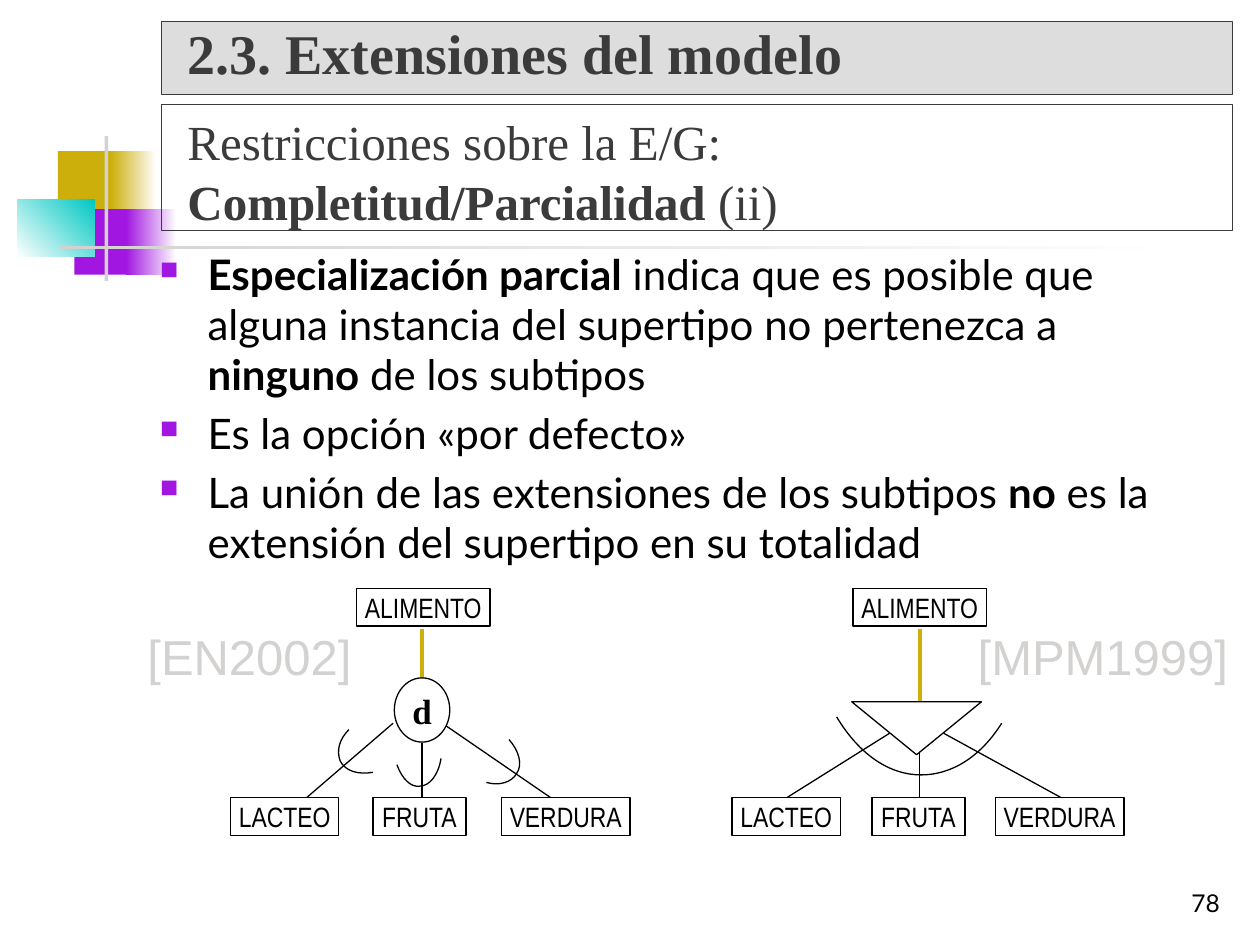
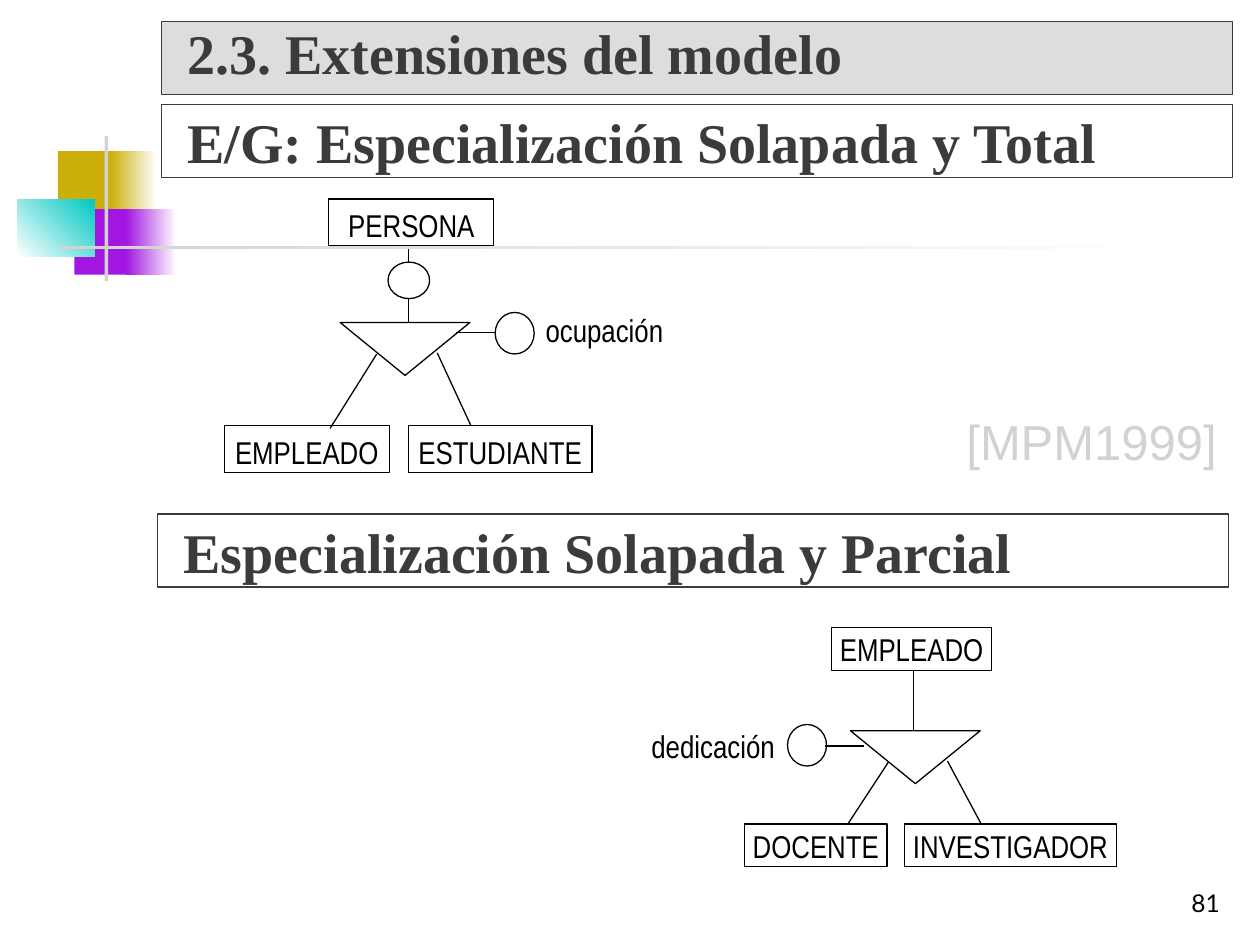
import copy
from dataclasses import dataclass
from typing import NamedTuple, Optional

import pptx
import pptx.dml.color
import pptx.enum.shapes
import pptx.enum.text
import pptx.oxml
import pptx.oxml.ns
import pptx.util
from pptx.util import Inches

BLACK, WHITE = "000000", "FFFFFF"
GOLD, PURPLE, TEAL = "CCAF0A", "A116E0", "00C8C3"
SILVER, BAND_GREY, TITLE_GREY = "D4D2D0", "DDDDDD", "3B3B3B"
SERIF, NARROW, SANS, BODY = "Times New Roman", "Arial Narrow", "Arial", "Lato"
THIN, THICK = 0.75, 2.25

SHAPE = pptx.enum.shapes.MSO_SHAPE
ALIGN = pptx.enum.text.PP_ALIGN
ANCHOR = pptx.enum.text.MSO_ANCHOR
SECTION = "2.3. Extensiones del modelo"


class Place(NamedTuple):
    left: float
    top: float
    width: float
    height: float


class Point(NamedTuple):
    x: float
    y: float


class Span(NamedTuple):
    text: str
    bold: bool = False
    size: Optional[float] = None


@dataclass
class Style:
    font: str
    size: float
    color: str = BLACK
    align: ALIGN = ALIGN.LEFT


@dataclass
class Decoration:
    place: Place
    start: str
    end: Optional[str] = None
    angle: float = 0


@dataclass
class Entity:
    name: str
    place: Place
    size: float = 16
    top_inset: float = 0.01
    fill: Optional[str] = WHITE


@dataclass
class Link:
    start: Point
    end: Point
    color: str = BLACK
    weight: float = THIN


DECORATIONS = [
    Decoration(Place(0.46, 1.2, 0.48, 0.52), GOLD),
    Decoration(Place(0.88, 1.2, 0.36, 0.52), GOLD, WHITE),
    Decoration(Place(0.59, 1.66, 0.46, 0.52), PURPLE),
    Decoration(Place(1, 1.66, 0.4, 0.52), PURPLE, WHITE),
    Decoration(Place(0.14, 1.58, 0.61, 0.46), WHITE, TEAL, 45),
    Decoration(Place(0.83, 1.08, 0.03, 1.15), SILVER),
    Decoration(Place(0.48, 1.95, 9, 0.03), SILVER, WHITE),
]


def rgb(color: str):
    return pptx.dml.color.RGBColor.from_string(color)


def inches(values):
    return [Inches(value) for value in values]


def set_outline(shape, color: Optional[str], weight: float = THIN):
    if color is None:
        shape.line.fill.background()
    else:
        shape.line.color.rgb = rgb(color)
        shape.line.width = pptx.util.Pt(weight)


def add_outline_shape(slide, kind, place: Place, line: Optional[str] = BLACK,
                      fill: Optional[str] = None):
    shape = slide.shapes.add_shape(kind, *inches(place))
    shape.shadow.inherit = False
    set_outline(shape, line)
    if fill is None:
        shape.fill.background()
    else:
        shape.fill.solid()
        shape.fill.fore_color.rgb = rgb(fill)
    return shape


def set_insets(box, left: float, top: float, right: float, bottom: float):
    frame = box.text_frame
    frame.margin_left, frame.margin_top = Inches(left), Inches(top)
    frame.margin_right, frame.margin_bottom = Inches(right), Inches(bottom)


def write_spans(para, spans: list[Span], style: Style):
    para.alignment = style.align
    for span in spans:
        run = para.add_run()
        run.text = span.text
        run.font.name = style.font
        run.font.size = pptx.util.Pt(span.size or style.size)
        run.font.bold = span.bold
        run.font.color.rgb = rgb(style.color)


def indent(para, margin: float, first_line: float):
    properties = para._p.get_or_add_pPr()
    properties.set("marL", str(Inches(margin)))
    properties.set("indent", str(Inches(first_line)))
    return properties


def add_bullet(para):
    """Give the paragraph a purple square, which is the letter n in Wingdings."""
    properties = indent(para, 0.38, -0.38)
    namespace = pptx.oxml.ns.nsdecls("a")
    for markup in (f'<a:buClr {namespace}><a:srgbClr val="{PURPLE}"/></a:buClr>',
                   f'<a:buSzPct {namespace} val="60000"/>',
                   f'<a:buFont {namespace} typeface="Wingdings" charset="2"/>',
                   f'<a:buChar {namespace} char="n"/>'):
        properties.append(pptx.oxml.parse_xml(markup))


def add_text(slide, place: Place, text: str, style: Style):
    box = slide.shapes.add_textbox(*inches(place))
    box.text_frame.word_wrap = False
    write_spans(box.text_frame.paragraphs[0], [Span(text)], style)
    return box


def add_reference(slide, text: str, place: Place):
    box = add_text(slide, place, text, Style(SANS, 28, SILVER))
    set_insets(box, 0, 0.05, 0, 0.01)


def add_attribute(slide, name: str, label: Place, circle: Point):
    box = add_text(slide, label, name, Style(NARROW, 18))
    set_insets(box, 0, 0.05, 0, 0.01)
    add_outline_shape(slide, SHAPE.OVAL, Place(*circle, 0.31, 0.33))


def add_heading(slide, place: Place, spans: list[Span], fill: Optional[str] = None):
    box = add_outline_shape(slide, SHAPE.RECTANGLE, place, TITLE_GREY, fill)
    box.text_frame.word_wrap = True
    box.text_frame.vertical_anchor = ANCHOR.MIDDLE
    para = box.text_frame.paragraphs[0]
    indent(para, 0.11, 0)
    write_spans(para, spans, Style(SERIF, 32, TITLE_GREY))
    return para


def add_entity(slide, entity: Entity):
    box = add_outline_shape(slide, SHAPE.RECTANGLE, entity.place, fill=entity.fill)
    set_insets(box, 0.06, entity.top_inset, 0.06, 0.01)
    box.text_frame.word_wrap = False
    box.text_frame.vertical_anchor = ANCHOR.MIDDLE
    write_spans(box.text_frame.paragraphs[0], [Span(entity.name)],
                Style(NARROW, entity.size, align=ALIGN.CENTER))


def add_link(slide, link: Link):
    line = slide.shapes.add_connector(
        pptx.enum.shapes.MSO_CONNECTOR.STRAIGHT, *inches(link.start + link.end))
    set_outline(line, link.color, link.weight)
    line._element.spPr.append(
        pptx.oxml.parse_xml(f'<a:effectLst {pptx.oxml.ns.nsdecls("a")}/>'))


def add_triangle(slide, left: float, top: float):
    """Draw the hierarchy symbol, a triangle pointing down."""
    triangle = add_outline_shape(slide, SHAPE.ISOSCELES_TRIANGLE, Place(left, top, 1.03, 0.42))
    triangle._element.spPr.get_or_add_xfrm().set("flipV", "1")


def add_arc(slide, points: list[tuple]):
    """Draw two joined cubic curves as an open edge; the last point is the sector's centre."""
    start, *others = [tuple(inches(point)) for point in points]
    builder = slide.shapes.build_freeform(*start, scale=1.0)
    builder.add_line_segments(others, close=True)
    arc = builder.convert_to_shape()
    arc.shadow.inherit = False
    arc.fill.background()
    set_outline(arc, BLACK)

    sector = arc._element.xpath(".//a:path")[0]
    corners = list(sector)[1:7]
    for curve, *rest in (corners[:3], corners[3:]):
        curve.tag = pptx.oxml.ns.qn("a:cubicBezTo")
        for corner in rest:
            curve.append(corner[0])
            sector.remove(corner)
    edge = copy.deepcopy(sector)
    for side in list(edge)[3:]:
        edge.remove(side)
    edge.set("fill", "none")
    sector.set("stroke", "0")
    sector.addprevious(edge)


def add_base_slide(deck, number: int):
    slide = deck.slides.add_slide(deck.slide_layouts[6])
    for item in DECORATIONS:
        shape = add_outline_shape(slide, SHAPE.RECTANGLE, item.place, None, item.start)
        if item.end:
            shape.fill.gradient()
            shape.fill.gradient_angle = item.angle
            for stop, color in zip(shape.fill.gradient_stops, (item.start, item.end)):
                stop.color.rgb = rgb(color)
    page = add_text(slide, Place(7.7, 6.83, 2.08, 0.5), str(number),
                    Style(BODY, 14, align=ALIGN.RIGHT))
    page.text_frame.word_wrap = True
    page.text_frame.vertical_anchor = ANCHOR.BOTTOM
    title = add_heading(slide, Place(1.28, 0.17, 8.5, 0.58), [Span(SECTION, True)], BAND_GREY)
    title.line_spacing = 0.8
    return slide


def build_partial_slide(deck):
    slide = add_base_slide(deck, 78)
    add_heading(slide, Place(1.28, 0.83, 8.5, 1), [
        Span("Restricciones sobre la E/G:", size=28), Span(" ", True),
        Span("Completitud/Parcialidad ", True, 28), Span("(ii)", size=28)])

    bullets = [
        [Span("Especialización parcial", True),
         Span(" indica que es posible que alguna instancia del supertipo no pertenezca a "),
         Span("ninguno", True), Span(" de los subtipos")],
        [Span("Es la opción «por defecto»")],
        [Span("La unión de las extensiones de los subtipos "), Span("no", True),
         Span(" es la extensión del supertipo en su totalidad")],
    ]
    body = slide.shapes.add_textbox(*inches(Place(1.17, 1.92, 8.56, 2.67))).text_frame
    body.word_wrap = True
    for index, spans in enumerate(bullets):
        para = body.add_paragraph() if index else body.paragraphs[0]
        add_bullet(para)
        para.space_before = pptx.util.Pt(4.8 if index else 0)
        write_spans(para, spans, Style(BODY, 24))

    for link in (
            Link(Point(3.35, 4.99), Point(3.35, 5.49), GOLD, THICK),
            Link(Point(3.12, 5.74), Point(2.33, 6.42)),
            Link(Point(3.35, 5.9), Point(3.35, 6.4)),
            Link(Point(3.51, 5.74), Point(4.5, 6.42)),
            Link(Point(7.3, 4.99), Point(7.3, 5.57), GOLD, THICK),
            Link(Point(7.06, 5.82), Point(6.15, 6.39)),
            Link(Point(7.3, 5.97), Point(7.3, 6.39)),
            Link(Point(7.49, 5.82), Point(8.53, 6.39))):
        add_link(slide, link)

    disjoint = add_outline_shape(slide, SHAPE.OVAL, Place(3.13, 5.38, 0.44, 0.51), fill=WHITE)
    set_insets(disjoint, 0, 0.01, 0, 0.01)
    disjoint.text_frame.vertical_anchor = ANCHOR.MIDDLE
    write_spans(disjoint.text_frame.paragraphs[0], [Span("d", True)],
                Style(SERIF, 20, align=ALIGN.CENTER))
    add_triangle(slide, 6.76, 5.57)

    for arc in (
            [(2.77, 5.79), (2.69, 5.87), (2.67, 5.96), (2.7, 6.04),
             (2.74, 6.12), (2.84, 6.15), (2.96, 6.13), (2.98, 5.9)],
            [(3.15, 6.07), (3.19, 6.18), (3.26, 6.25), (3.33, 6.24),
             (3.41, 6.24), (3.48, 6.15), (3.5, 6.02), (3.31, 5.91)],
            [(3.86, 6.21), (3.96, 6.24), (4.06, 6.21), (4.1, 6.14),
             (4.15, 6.07), (4.12, 5.96), (4.04, 5.87), (3.84, 5.98)],
            [(7.95, 5.74), (7.78, 6.01), (7.55, 6.15), (7.31, 6.15),
             (7.06, 6.15), (6.82, 5.99), (6.64, 5.69), (7.31, 4.74)]):
        add_arc(slide, arc)

    add_reference(slide, "[EN2002]", Place(1.17, 4.92, 1.62, 0.53))
    add_reference(slide, "[MPM1999]", Place(7.76, 4.92, 1.99, 0.53))
    subtypes = (("LACTEO", 0.86), ("FRUTA", 0.74), ("VERDURA", 1.02))
    for root_left, root_fill, lefts in ((2.83, None, (1.83, 2.96, 3.98)),
                                        (6.77, WHITE, (5.81, 6.92, 7.9))):
        add_entity(slide, Entity("ALIMENTO", Place(root_left, 4.67, 1.06, 0.3), fill=root_fill))
        for left, (name, width) in zip(lefts, subtypes):
            add_entity(slide, Entity(name, Place(left, 6.33, width, 0.3)))


def build_overlap_slide(deck):
    slide = add_base_slide(deck, 81)
    add_heading(slide, Place(1.28, 0.83, 8.5, 0.58),
                [Span("E/G: Especialización Solapada y Total", True)])
    add_heading(slide, Place(1.25, 4.08, 8.5, 0.58),
                [Span("Especialización Solapada y Parcial", True)])
    add_reference(slide, "[MPM1999]", Place(7.67, 3.22, 1.99, 0.53))

    for link in (
            Link(Point(3.24, 1.98), Point(3.24, 2.56)),
            Link(Point(2.99, 2.81), Point(2.62, 3.4)),
            Link(Point(3.47, 2.8), Point(3.78, 3.47)),
            Link(Point(3.62, 2.64), Point(3.93, 2.64)),
            Link(Point(7.25, 5.3), Point(7.25, 5.8)),
            Link(Point(7.05, 6.05), Point(6.67, 6.63)),
            Link(Point(7.52, 6.04), Point(7.83, 6.62)),
            Link(Point(6.55, 5.92), Point(6.86, 5.92))):
        add_link(slide, link)
    add_triangle(slide, 2.7, 2.56)
    add_triangle(slide, 6.75, 5.8)
    add_outline_shape(slide, SHAPE.OVAL, Place(3.08, 2.08, 0.33, 0.29), fill=WHITE)
    add_attribute(slide, "ocupación", Place(4.33, 2.42, 1, 0.36), Point(3.93, 2.48))
    add_attribute(slide, "dedicación", Place(5.17, 5.72, 1, 0.36), Point(6.25, 5.75))

    for entity in (
            Entity("PERSONA", Place(2.61, 1.58, 1.31, 0.37), 18, 0.05),
            Entity("EMPLEADO", Place(1.78, 3.38, 1.31, 0.37), 18, 0.05, None),
            Entity("ESTUDIANTE", Place(3.24, 3.38, 1.46, 0.37), 18, 0.05),
            Entity("EMPLEADO", Place(6.6, 4.98, 1.27, 0.34), 18),
            Entity("DOCENTE", Place(5.91, 6.54, 1.13, 0.34), 18),
            Entity("INVESTIGADOR", Place(7.18, 6.54, 1.68, 0.34), 18)):
        add_entity(slide, entity)


def main():
    deck = pptx.Presentation()
    deck.slide_width, deck.slide_height = Inches(10), Inches(7.5)
    build_partial_slide(deck)
    build_overlap_slide(deck)
    deck.save("out.pptx")


if __name__ == "__main__":
    main()
